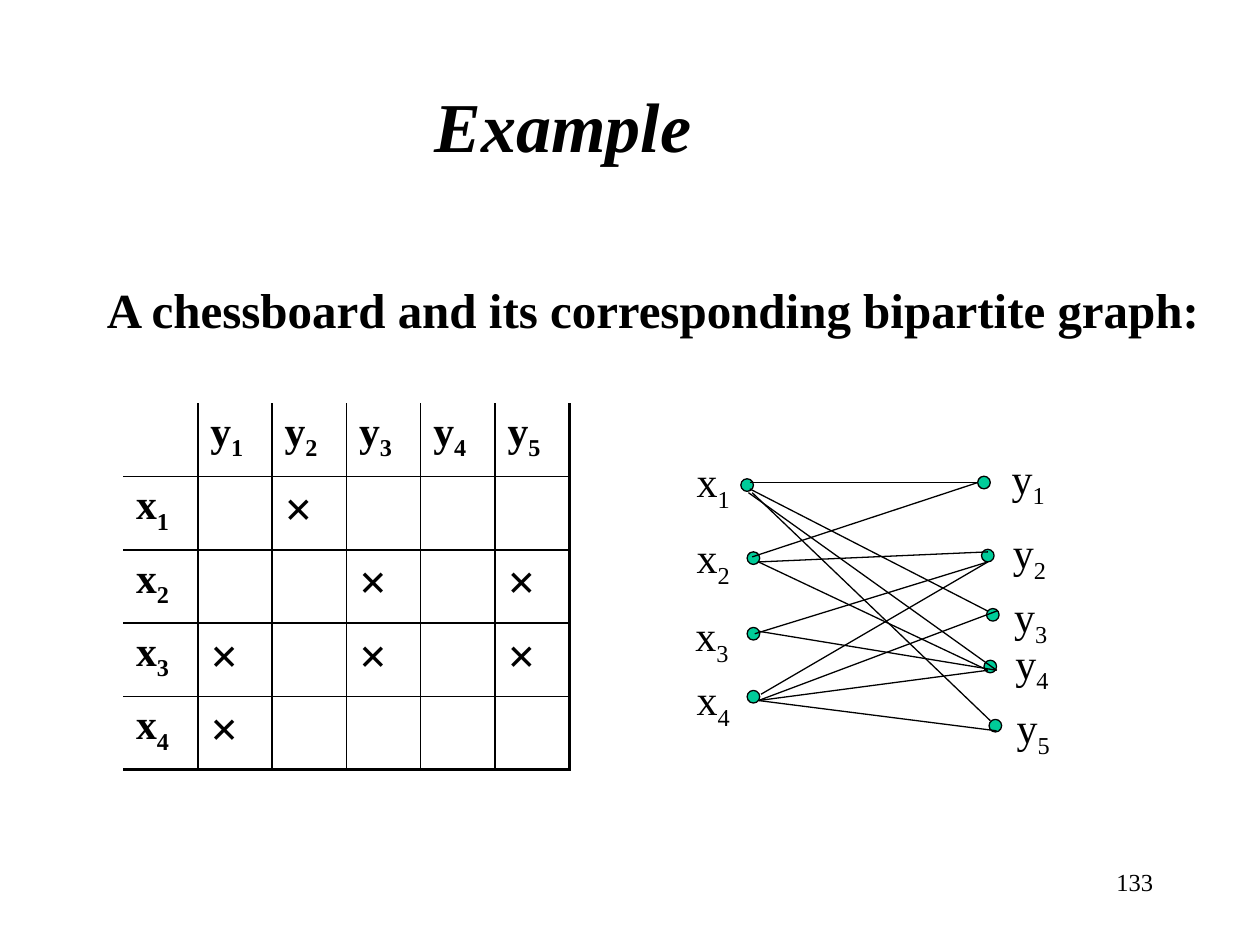
from lxml import etree
from pptx import Presentation
from pptx.dml.color import RGBColor
from pptx.enum.shapes import MSO_CONNECTOR as CONN, MSO_SHAPE as SHAPE
from pptx.enum.text import MSO_ANCHOR as ANCHOR, PP_ALIGN as ALIGN
from pptx.oxml.ns import qn
from pptx.util import Inches, Pt

BLACK = RGBColor(0x00, 0x00, 0x00)
GREEN = RGBColor(0x00, 0xCC, 0x99)
FONT = "Times New Roman"

BOARD = [
    ["", "y1", "y2", "y3", "y4", "y5"],
    ["x1", "", "×", "", "", ""],
    ["x2", "", "", "×", "", "×"],
    ["x3", "×", "", "×", "", "×"],
    ["x4", "×", "", "", "", ""],
]
NODES = [
    ("x1", (0.48, 0.30), (0.03, 0.07)),
    ("x2", (0.53, 0.88), (0.03, 0.67)),
    ("x3", (0.53, 1.48), (0.02, 1.29)),
    ("x4", (0.53, 1.98), (0.03, 1.80)),
    ("y1", (2.36, 0.28), (2.53, 0.04)),
    ("y2", (2.39, 0.86), (2.54, 0.63)),
    ("y3", (2.43, 1.33), (2.55, 1.14)),
    ("y4", (2.41, 1.74), (2.56, 1.51)),
    ("y5", (2.45, 2.21), (2.57, 2.02)),
]
EDGES = [
    ((0.55, 0.33), (2.36, 0.33)),
    ((0.55, 0.38), (2.44, 1.35)),
    ((0.54, 0.41), (2.51, 1.82)),
    ((0.57, 0.41), (2.46, 2.22)),
    ((0.57, 0.92), (2.36, 0.33)),
    ((0.62, 0.96), (2.44, 0.88)),
    ((0.62, 0.96), (2.44, 1.82)),
    ((0.59, 1.53), (2.44, 0.96)),
    ((0.62, 1.51), (2.51, 1.82)),
    ((0.64, 2.01), (2.44, 0.96)),
    ((0.62, 2.06), (2.51, 1.35)),
    ((0.62, 2.06), (2.44, 1.82)),
    ((0.62, 2.06), (2.51, 2.30)),
]


def add_run(p, text, size, bold=False, italic=False):
    r = p.add_run()
    r.text = text
    r.font.name = FONT
    r.font.size = Pt(size)
    r.font.bold = bold
    r.font.italic = italic
    r.font.color.rgb = BLACK
    return r


def add_variable(p, name, size, bold=False):
    add_run(p, name[0], size, bold)
    sub = add_run(p, name[1:], size, bold)
    sub.font._element.set("baseline", "-25000")


def add_box(s, left, top, width, height, align=ALIGN.LEFT, anchor=ANCHOR.TOP):
    sp = s.shapes.add_textbox(Inches(left), Inches(top), Inches(width), Inches(height))
    tf = sp.text_frame
    tf.word_wrap = True
    tf.vertical_anchor = anchor
    tf.paragraphs[0].alignment = align
    return tf


def set_borders(cell, widths):
    tc_pr = cell._tc.get_or_add_tcPr()
    for i, (side, width) in enumerate(zip("LRTB", widths)):
        ln = etree.Element(qn("a:ln" + side), w=str(Pt(width)))
        if width:
            fill = etree.SubElement(ln, qn("a:solidFill"))
            etree.SubElement(fill, qn("a:srgbClr"), val=str(BLACK))
        else:
            etree.SubElement(ln, qn("a:noFill"))
        tc_pr.insert(i, ln)


def add_title(s, left, top, width, height):
    tf = add_box(s, left, top, width, height, ALIGN.CENTER, ANCHOR.MIDDLE)
    tf.margin_right = Inches(0.52)
    add_run(tf.paragraphs[0], "Example", 40, bold=True, italic=True)


def add_body(s, left, top, width, height):
    tf = add_box(s, left, top, width, height)
    add_run(tf.paragraphs[0], "A chessboard and its corresponding bipartite graph:", 28, bold=True)


def add_page_number(s, left, top, width, height):
    tf = add_box(s, left, top, width, height, ALIGN.RIGHT)
    add_run(tf.paragraphs[0], "133", 14)


def add_chessboard(s, left, top, width, height):
    n_rows, n_cols = len(BOARD), len(BOARD[0])
    table = s.shapes.add_table(
        n_rows, n_cols, Inches(left), Inches(top), Inches(width), Inches(height)
    ).table
    table.first_row = table.horz_banding = False
    for i, row in enumerate(BOARD):
        for j, text in enumerate(row):
            cell = table.cell(i, j)
            cell.fill.background()
            set_borders(cell, (
                1 if j else 0,
                2.25 if j == n_cols - 1 else 1,
                1 if i else 0,
                2.25 if i == n_rows - 1 else 1,
            ))
            p = cell.text_frame.paragraphs[0]
            if text == "×":
                add_run(p, text, 28, bold=True)
            elif text:
                add_variable(p, text, 23.8, bold=True)


def add_graph(s, left, top):
    for name, (x, y), (label_x, label_y) in NODES:
        node = s.shapes.add_shape(
            SHAPE.OVAL, Inches(left + x), Inches(top + y), Inches(0.1), Inches(0.1)
        )
        node.shadow.inherit = False
        node.fill.solid()
        node.fill.fore_color.rgb = GREEN
        node.line.color.rgb = BLACK
        node.line.width = Pt(0.75)
        tf = add_box(s, left + label_x, top + label_y, 0.53, 0.56)
        add_variable(tf.paragraphs[0], name, 24)
    for (x1, y1), (x2, y2) in EDGES:
        edge = s.shapes.add_connector(
            CONN.STRAIGHT,
            Inches(left + x1), Inches(top + y1), Inches(left + x2), Inches(top + y2),
        )
        edge.line.color.rgb = BLACK
        edge.line.width = Pt(0.75)
        etree.SubElement(edge._element.spPr, qn("a:effectLst"))


def main():
    prs = Presentation()
    prs.slide_width = Inches(10)
    prs.slide_height = Inches(7.5)
    s = prs.slides.add_slide(prs.slide_layouts[6])
    add_page_number(s, 7.17, 6.83, 2.08, 0.5)
    add_title(s, 0.43, 0.36, 8.5, 1.25)
    add_body(s, 0.75, 2.17, 8.9, 4.5)
    add_chessboard(s, 0.98, 3.2, 3.54, 2.91)
    add_graph(s, 5.4, 3.5)
    prs.save("out.pptx")


if __name__ == "__main__":
    main()
